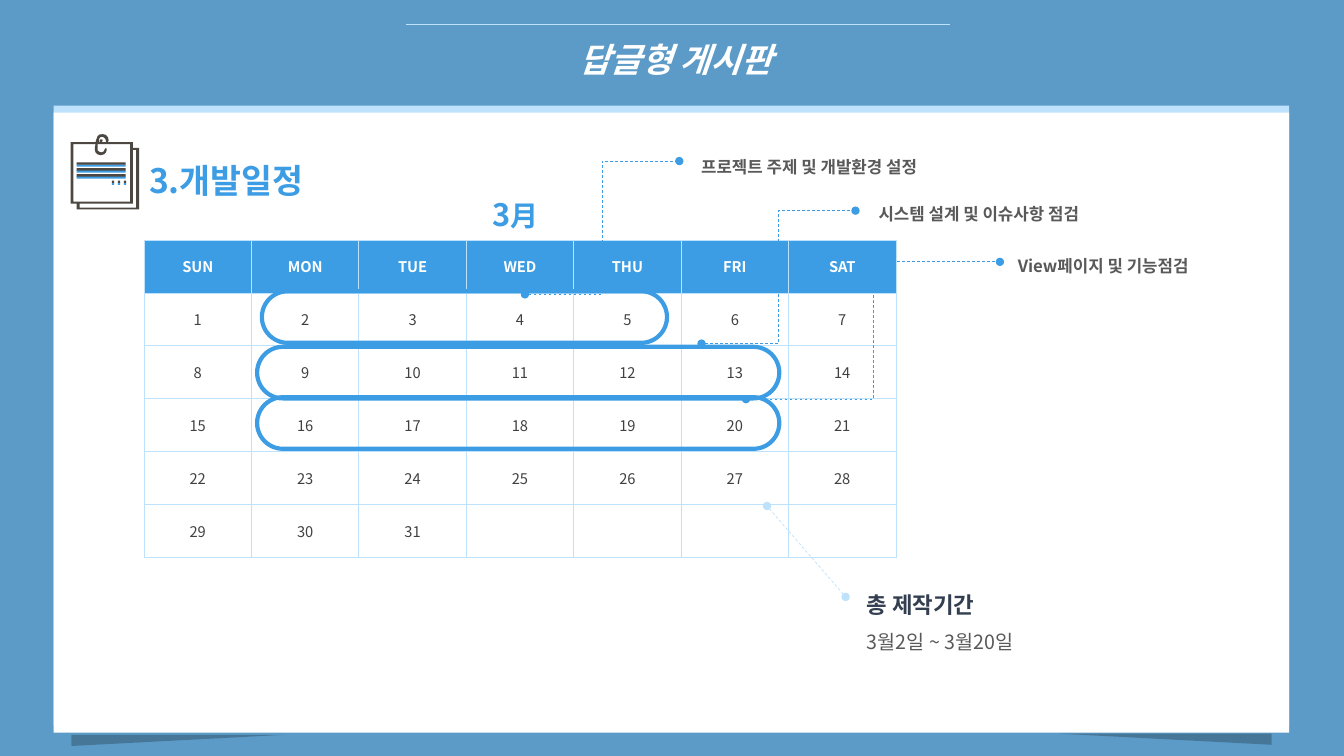
from dataclasses import dataclass
from typing import Any

from lxml import etree
from pptx import Presentation
from pptx.dml import color
from pptx.enum import dml, shapes, text
from pptx.oxml import ns
from pptx.util import Cm, Pt

FONT = "Noto Sans CJK KR"
COLORS = {
    "background": "5C9BC7", "white": "FFFFFF", "black": "000000",
    "blue": "3D9DE4", "pale": "BEE2FC", "ink": "4C4741",
    "day": "404040", "navy": "333F50", "gray": "595959",
}


@dataclass
class Box:
    left: float
    top: float
    width: float
    height: float

    def lengths(self) -> tuple:
        return Cm(self.left), Cm(self.top), Cm(self.width), Cm(self.height)


@dataclass
class Style:
    size: float
    color: str
    bold: bool = True
    italic: bool = False
    spacing: float = 1.0


@dataclass
class Period:
    """A marked run of days, the dashed leader from it, and its note."""
    outline: Box
    start: tuple[float, float]
    end: tuple[float, float]
    note: Box
    wording: str


PERIODS = [
    Period(Box(6.6, 7.34, 10.21, 1.3), (13.23, 7.42), (17.12, 4.06),
           Box(17.42, 3.56, 6.73, 1.02), "프로젝트 주제 및 개발환경 설정"),
    Period(Box(6.48, 8.74, 13.16, 1.3), (17.68, 8.66), (21.56, 5.31),
           Box(21.89, 4.75, 6.73, 1.02), "시스템 설계 및 이슈사항 점검"),
    Period(Box(6.48, 10.01, 13.16, 1.3), (18.8, 10.06), (25.2, 6.6),
           Box(25.4, 6.07, 6.73, 1.02), "View페이지 및 기능점검"),
]
WEEKDAYS = ["SUN", "MON", "TUE", "WED", "THU", "FRI", "SAT"]
WEEKS, LAST_DAY = 5, 31

# Contours of the clipped note sheets, in hundredths of a centimetre
NOTE_CONTOURS = [
    [(335, 373), (335, 358), (272, 358), (274, 353), (272, 346), (267, 340),
     (259, 338), (251, 339), (246, 343), (243, 351), (241, 358), (178, 358),
     (178, 513), (193, 513), (193, 528), (351, 528), (351, 373)],
    [(343, 523), (201, 523), (201, 513), (335, 513), (335, 378), (343, 378)],
    [(185, 363), (241, 363), (239, 373), (239, 378), (241, 384), (246, 389),
     (254, 391), (262, 389), (267, 384), (269, 378), (269, 375), (267, 373),
     (264, 376), (262, 381), (257, 384), (251, 383), (246, 379), (246, 363),
     (328, 363), (328, 508), (185, 508)],
    [(249, 353), (251, 348), (254, 345), (259, 345), (264, 348), (267, 353),
     (267, 358), (257, 358), (259, 353), (257, 351), (254, 351), (251, 353),
     (251, 358), (249, 358)],
]


def rgb(name: str) -> color.RGBColor:
    return color.RGBColor.from_string(COLORS[name])


def add_child(parent: Any, tag: str, **attributes: Any) -> Any:
    values = {key: str(value) for key, value in attributes.items()}
    return etree.SubElement(parent, ns.qn(tag), values)


def style_paragraph(para: Any, style: Style, align: Any = None) -> None:
    para.alignment = align
    para.line_spacing = style.spacing
    font = para.font
    font.size, font.bold, font.italic = Pt(style.size), style.bold, style.italic
    font.color.rgb = rgb(style.color)
    font.name = FONT
    defaults = para._p.pPr.find(ns.qn("a:defRPr"))
    add_child(defaults, "a:ea", typeface=FONT)


def add_text(page: Any, box: Box, lines: list[tuple[str, Style]]) -> Any:
    frame = page.shapes.add_textbox(*box.lengths()).text_frame
    frame.word_wrap = True
    frame.auto_size = text.MSO_AUTO_SIZE.SHAPE_TO_FIT_TEXT
    frame.text = "\n".join(wording for wording, _ in lines)
    for para, (_, style) in zip(frame.paragraphs, lines):
        style_paragraph(para, style)
    return frame


def paint(shape: Any, fill: str) -> None:
    shape.shadow.inherit = False
    shape.fill.solid()
    shape.fill.fore_color.rgb = rgb(fill)
    shape.line.fill.background()


def add_filled(page: Any, kind: Any, box: Box, fill: str) -> Any:
    shape = page.shapes.add_shape(kind, *box.lengths())
    paint(shape, fill)
    return shape


def add_line(page: Any, kind: Any, start: tuple[float, float],
             end: tuple[float, float], stroke: str, dotted: bool = True) -> None:
    """Draw a thin line; a dotted one is dashed with a dot at both ends."""
    line = page.shapes.add_connector(kind, *map(Cm, start + end))
    line.line.color.rgb = rgb(stroke)
    line.line.width = Pt(0.5)
    if dotted:
        line.line.dash_style = dml.MSO_LINE.DASH
        outline = line.line._get_or_add_ln()
        add_child(outline, "a:headEnd", type="oval")
        add_child(outline, "a:tailEnd", type="oval")
    add_child(line.element.spPr, "a:effectLst")


def add_panel(page: Any) -> None:
    panel = add_filled(page, shapes.MSO_SHAPE.RECTANGLE,
                       Box(1.35, 2.84, 31.14, 15.62), "white")
    effects = panel.element.spPr.find(ns.qn("a:effectLst"))
    shadow = add_child(effects, "a:outerShdw", blurRad=0, dist=Pt(5),
                       dir=270 * 60000, algn="b", rotWithShape=0)
    add_child(shadow, "a:srgbClr", val=COLORS["pale"])
    for left, top, flips in ((1.8, 18.52, ["flipV"]), (26.72, 18.49, ["flipH", "flipV"])):
        corner = add_filled(page, shapes.MSO_SHAPE.RIGHT_TRIANGLE,
                            Box(left, top, 5.33, 0.28), "black")
        for flip in flips:
            corner.element.spPr.find(ns.qn("a:xfrm")).set(flip, "1")
        tint = corner.element.spPr.find(ns.qn("a:solidFill"))[0]
        add_child(tint, "a:alpha", val=23000)


def fill_cell(cell: Any, wording: str, fill: str, style: Style) -> None:
    cell.text = wording
    cell.vertical_anchor = text.MSO_ANCHOR.MIDDLE
    style_paragraph(cell.text_frame.paragraphs[0], style, text.PP_ALIGN.CENTER)
    properties = cell._tc.get_or_add_tcPr()
    for side in ("a:lnL", "a:lnR", "a:lnT", "a:lnB"):
        border = add_child(properties, side, w=Pt(0.75))
        add_child(add_child(border, "a:solidFill"), "a:srgbClr", val=COLORS["pale"])
    cell.fill.solid()
    cell.fill.fore_color.rgb = rgb(fill)


def add_calendar(page: Any) -> None:
    columns = len(WEEKDAYS)
    box = Box(3.63, 6.05, 18.95, 8)
    table = page.shapes.add_table(WEEKS + 1, columns, *box.lengths()).table
    for column in table.columns:
        column.width = Cm(box.width / columns)
    for row in table.rows:
        row.height = Cm(box.height / (WEEKS + 1))
    for index, weekday in enumerate(WEEKDAYS):
        fill_cell(table.cell(0, index), weekday, "blue", Style(10.5, "white"))
    for slot in range(WEEKS * columns):
        week, index = divmod(slot, columns)
        wording = str(slot + 1) if slot < LAST_DAY else ""
        fill_cell(table.cell(week + 1, index), wording, "white", Style(10.5, "day", False))


def add_period(page: Any, period: Period) -> None:
    outline = page.shapes.add_shape(shapes.MSO_SHAPE.ROUNDED_RECTANGLE,
                                    *period.outline.lengths())
    outline.adjustments[0] = 0.5
    outline.shadow.inherit = False
    outline.fill.background()
    outline.line.color.rgb = rgb("blue")
    outline.line.width = Pt(3)
    add_line(page, shapes.MSO_CONNECTOR.ELBOW, period.start, period.end, "blue")
    add_text(page, period.note, [(period.wording, Style(12, "gray", spacing=1.5))])


def add_note_icon(page: Any) -> None:
    first, *holes = NOTE_CONTOURS
    builder = page.shapes.build_freeform(*first[0], scale=Cm(0.01))
    builder.add_line_segments(first[1:])
    for hole in holes:
        builder.move_to(*hole[0])
        builder.add_line_segments(hole[1:])
    paint(builder.convert_to_shape(), "ink")
    for fill, drop in (("blue", 0.05), ("ink", 0)):
        for index in range(3):
            step = 0.15 * index
            for box in (Box(1.93, 4.09 + drop + step, 1.24, 0.06),
                        Box(2.82 + step, 4.55 + drop, 0.06, 0.06)):
                add_filled(page, shapes.MSO_SHAPE.RECTANGLE, box, fill)


def main() -> None:
    deck = Presentation()
    deck.slide_width, deck.slide_height = Cm(33.87), Cm(19.05)
    page = deck.slides.add_slide(deck.slide_layouts[5])
    page.background.fill.solid()
    page.background.fill.fore_color.rgb = rgb("background")

    add_panel(page)
    title = page.shapes.title
    title.left, title.top, title.width, title.height = Box(8.56, 0.86, 16.94, 1.27).lengths()
    title.text = "답글형 게시판"
    title.text_frame.vertical_anchor = text.MSO_ANCHOR.TOP
    title.text_frame.auto_size = text.MSO_AUTO_SIZE.SHAPE_TO_FIT_TEXT
    style_paragraph(title.text_frame.paragraphs[0], Style(24, "white", italic=True),
                    text.PP_ALIGN.CENTER)
    straight = shapes.MSO_CONNECTOR.STRAIGHT
    add_line(page, straight, (10.24, 0.61), (23.93, 0.61), "pale", dotted=False)

    add_calendar(page)
    month = add_text(page, Box(12.4, 4.93, 12.7, 0.94), [("3", Style(22, "blue"))])
    month.auto_size = text.MSO_AUTO_SIZE.NONE
    month.margin_left = month.margin_top = month.margin_right = month.margin_bottom = 0
    span = month.paragraphs[0].add_run()
    span.text, span.font.size = "月", Pt(20)

    for period in PERIODS:
        add_period(page, period)
    add_line(page, straight, (21.31, 15.04), (19.33, 12.75), "pale")
    add_text(page, Box(21.59, 14.43, 7.04, 2.82), [
        ("총 제작기간", Style(16, "navy", spacing=1.5)),
        ("3월2일 ~ 3월20일", Style(14, "gray", False, spacing=1.5)),
    ])
    add_note_icon(page)
    add_text(page, Box(3.51, 3.91, 5.59, 1.3), [("3.개발일정", Style(24, "blue"))])
    deck.save("out.pptx")


if __name__ == "__main__":
    main()
